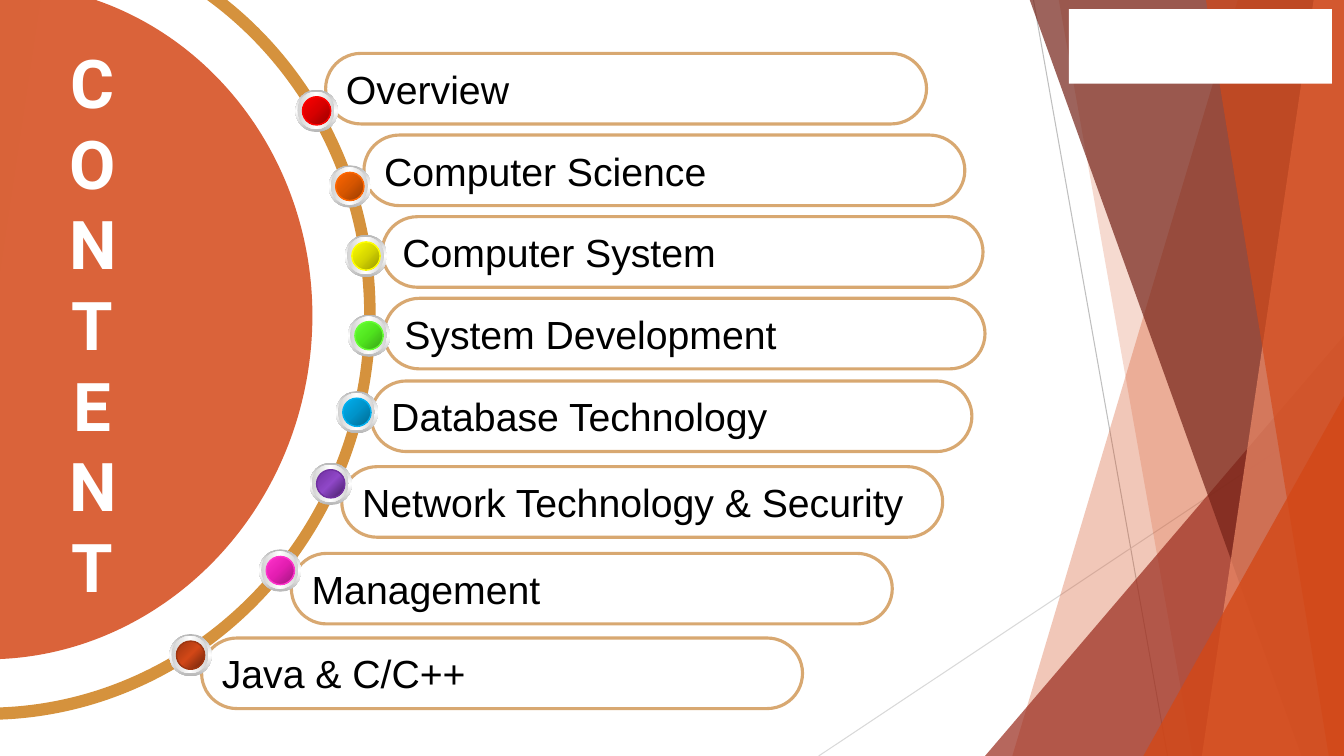
from math import cos, radians, sin

from lxml import etree
from pptx import Presentation
from pptx.dml.color import RGBColor
from pptx.enum.shapes import MSO_CONNECTOR as Connector, MSO_SHAPE as Shape
from pptx.enum.text import MSO_ANCHOR as Anchor, MSO_AUTO_SIZE as AutoSize, PP_ALIGN as Align
from pptx.oxml.ns import qn
from pptx.util import Inches, Pt

WIDTH, HEIGHT = 13.33, 7.5
ACCENT = "D34817"
ARC_ROTATION = 98.4

LEFT_FACETS = [
    (12.28, 10.04, ACCENT, 30),
    (10.5, 11.83, ACCENT, 20),
]
RIGHT_FACETS = [
    (10.21, 12.91, "742217", 70),
    (13.03, 11.92, "EF8C6A", 70),
    (11.96, 13.18, ACCENT, 65),
]
RING_BOX = (-4.06, -0.64, 7.95, 7.61)
RING_SEGMENTS = [
    [(0.53, -0.64)],
    [(2.52, -0.31), (3.87, 1.62), (3.57, 3.71)],
    [(3.26, 5.79), (1.41, 7.25), (-0.59, 6.99)],
    [(-0.61, 7.11)],
    [(1.46, 7.38), (3.36, 5.87), (3.68, 3.72)],
    [(4, 1.57), (2.6, -0.42), (0.55, -0.76)],
]
DISC_BOX = (-3.43, 0.03, 6.71, 6.33)
DISC_SEGMENTS = [
    [(-0.08, 3.21)],
    [(-0.07, 3.21), (-0.06, 3.2), (-0.06, 3.19)],
    [(-0.06, 3.18), (-0.06, 3.18), (-0.07, 3.17)],
    [(0.42, -0.13)],
    [(2.14, 0.13), (3.33, 1.82), (3.06, 3.65)],
    [(2.79, 5.48), (1.17, 6.76), (-0.56, 6.51)],
]
TOPICS = [
    ("Overview", (3.23, 0.53), (2.93, 0.89), ("970000", "D70000", "FF0000")),
    ("Computer Science", (3.61, 1.34), (3.26, 1.64), ("973C00", "D75600", "FF6600")),
    ("Computer System", (3.79, 2.15), (3.42, 2.33), ("979700", "D7D700", "FFFF00")),
    ("System Development", (3.81, 2.96), (3.45, 3.12), ("38A015", "50E41E", "66FF33")),
    ("Database Technology", (3.68, 3.78), (3.33, 3.88), ("00688E", "0094CA", "00B0F0")),
    ("Network Technology & Security", (3.39, 4.63), (3.07, 4.59), ("431D61", "9048C8", "7030A0")),
    ("Management", (2.89, 5.49), (2.57, 5.45), ("A0157D", "E41EB2", "FF33CC")),
    ("Java & C/C++", (2, 6.33), (1.68, 6.29), ("69240C", ACCENT, "9E3611")),
]


def rgb(color):
    return RGBColor.from_string(color)


def paint(shape, fill=None, opacity=100, line=None, line_width=1):
    shape.shadow.inherit = False
    if fill:
        shape.fill.solid()
        shape.fill.fore_color.rgb = rgb(fill)
        if opacity < 100:
            color = shape.fill._xPr.find(f"{qn('a:solidFill')}/{qn('a:srgbClr')}")
            etree.SubElement(color, qn("a:alpha"), val=str(opacity * 1000))
    else:
        shape.fill.background()
    if line:
        shape.line.color.rgb = rgb(line)
        shape.line.width = Pt(line_width)
    else:
        shape.line.fill.background()


def add_preset(slide, kind, left, top, width, height, **style):
    shape = slide.shapes.add_shape(kind, Inches(left), Inches(top), Inches(width), Inches(height))
    paint(shape, **style)
    return shape


def add_triangle(slide, left, top, width, height, fill, opacity):
    triangle = add_preset(slide, Shape.ISOSCELES_TRIANGLE, left, top, width, height, fill=fill, opacity=opacity)
    triangle.adjustments[0] = 1
    return triangle


def add_outline(slide, points, fill, opacity=100):
    corners = [(Inches(x), Inches(y)) for x, y in points]
    builder = slide.shapes.build_freeform(*corners[0])
    builder.add_line_segments(corners[1:], close=True)
    shape = builder.convert_to_shape()
    paint(shape, fill, opacity)
    return shape


def add_facets(slide, facets):
    for top_x, bottom_x, color, opacity in facets:
        corners = [(top_x, -0.01), (WIDTH, -0.01), (WIDTH, HEIGHT), (bottom_x, HEIGHT)]
        add_outline(slide, corners, color, opacity)


def add_hairline(slide, start, end, color):
    line = slide.shapes.add_connector(Connector.STRAIGHT, *map(Inches, start + end))
    line.line.color.rgb = rgb(color)
    line.line.width = Pt(0.75)
    etree.SubElement(line._element.spPr, qn("a:effectLst"))


def unrotate(point, box):
    left, top, width, height = box
    x, y = point[0] - left - width / 2, point[1] - top - height / 2
    cosine, sine = cos(radians(ARC_ROTATION)), sin(radians(ARC_ROTATION))
    return x * cosine + y * sine + width / 2, y * cosine - x * sine + height / 2


def add_arc(slide, box, segments, fill):
    left, top, width, height = box
    right, bottom = left + width, top + height
    shape = add_outline(slide, [(left, top), (right, top), (right, bottom), (left, bottom)], fill)
    shape.rotation = ARC_ROTATION
    outline = next(shape._element.iter(qn("a:path")))
    for child in list(outline):
        outline.remove(child)
    for index, segment in enumerate(segments):
        tag = "a:moveTo" if index == 0 else "a:lnTo" if len(segment) == 1 else "a:cubicBezTo"
        command = etree.SubElement(outline, qn(tag))
        for point in segment:
            x, y = unrotate(point, box)
            etree.SubElement(command, qn("a:pt"), x=str(Inches(x)), y=str(Inches(y)))
    etree.SubElement(outline, qn("a:close"))


def set_gradient(shape, colors, angle=None):
    gradient = etree.Element(qn("a:gradFill"), rotWithShape="1")
    stops = etree.SubElement(gradient, qn("a:gsLst"))
    for position, color in zip((0, 50000, 100000), colors):
        stop = etree.SubElement(stops, qn("a:gs"), pos=str(position))
        etree.SubElement(stop, qn("a:srgbClr"), val=color)
    if angle is None:
        radial = etree.SubElement(gradient, qn("a:path"))
        radial.set("path", "circle")
        etree.SubElement(radial, qn("a:fillToRect"), l="100000", t="100000")
    else:
        etree.SubElement(gradient, qn("a:lin"), ang=str(angle * 60000), scaled="1")
    properties = shape._element.spPr
    properties.replace(properties.find(qn("a:noFill")), gradient)


def add_knob(slide, left, top, colors):
    layers = [
        (0, 0.42, ("B6B6B6", "FFFFFF", "B6B6B6"), 90, None),
        (0.02, 0.37, ("D1D1D1", "FFFFFF", "D1D1D1"), 0, None),
        (0.07, 0.28, colors, None, colors[-1]),
    ]
    for inset, size, stops, angle, line in layers:
        circle = add_preset(slide, Shape.OVAL, left + inset, top + inset, size, size, line=line)
        set_gradient(circle, stops, angle)


def format_text(frame, size, font, color, align, wrap, bold=False):
    frame.word_wrap = wrap
    frame.vertical_anchor = Anchor.MIDDLE
    for paragraph in frame.paragraphs:
        paragraph.alignment = align
        for run in paragraph.runs:
            run.font.size = Pt(size)
            run.font.name = font
            run.font.bold = bold
            run.font.color.rgb = rgb(color)


def add_topic(slide, label, pill_at, knob_at, colors):
    pill = add_preset(slide, Shape.ROUNDED_RECTANGLE, *pill_at, 5.96, 0.7, line="D8A871", line_width=2.25)
    pill.adjustments[0] = 0.5
    pill.text_frame.text = label
    format_text(pill.text_frame, 28, "Arial", "000000", Align.LEFT, wrap=False)
    add_knob(slide, *knob_at, colors)


def place_title(slide):
    title = slide.shapes.title
    title.left, title.top, title.width, title.height = map(Inches, (0.2, 0.21, 1.44, 6))
    frame = title.text_frame
    frame.text = "\n".join("CONTENT")
    frame.auto_size = AutoSize.NONE
    format_text(frame, 48, "Roboto", "FFFFFF", Align.CENTER, wrap=True, bold=True)
    slide.shapes._spTree.append(title._element)


def add_backdrop(slide):
    add_hairline(slide, (10.25, 0), (11.58, HEIGHT), "BFBFBF")
    add_hairline(slide, (WIDTH, 4.03), (8.12, HEIGHT), "D9D9D9")
    add_facets(slide, LEFT_FACETS)
    add_triangle(slide, 9.77, 3.33, 3.56, 4.17, "9B2D1F", 72)
    add_facets(slide, RIGHT_FACETS)
    add_triangle(slide, 11.34, 3.93, 1.99, 3.57, ACCENT, 80)
    add_triangle(slide, 0, 0, 0.92, 6.2, ACCENT, 85).rotation = 180
    add_preset(slide, Shape.RECTANGLE, 10.6, 0.09, 2.61, 0.74, fill="FFFFFF")


def main():
    presentation = Presentation()
    presentation.slide_width, presentation.slide_height = Inches(WIDTH), Inches(HEIGHT)
    slide = presentation.slides.add_slide(presentation.slide_layouts[5])
    add_backdrop(slide)
    add_arc(slide, RING_BOX, RING_SEGMENTS, "D5923D")
    add_arc(slide, DISC_BOX, DISC_SEGMENTS, "DA633A")
    for topic in TOPICS:
        add_topic(slide, *topic)
    place_title(slide)
    presentation.save("out.pptx")


if __name__ == "__main__":
    main()
